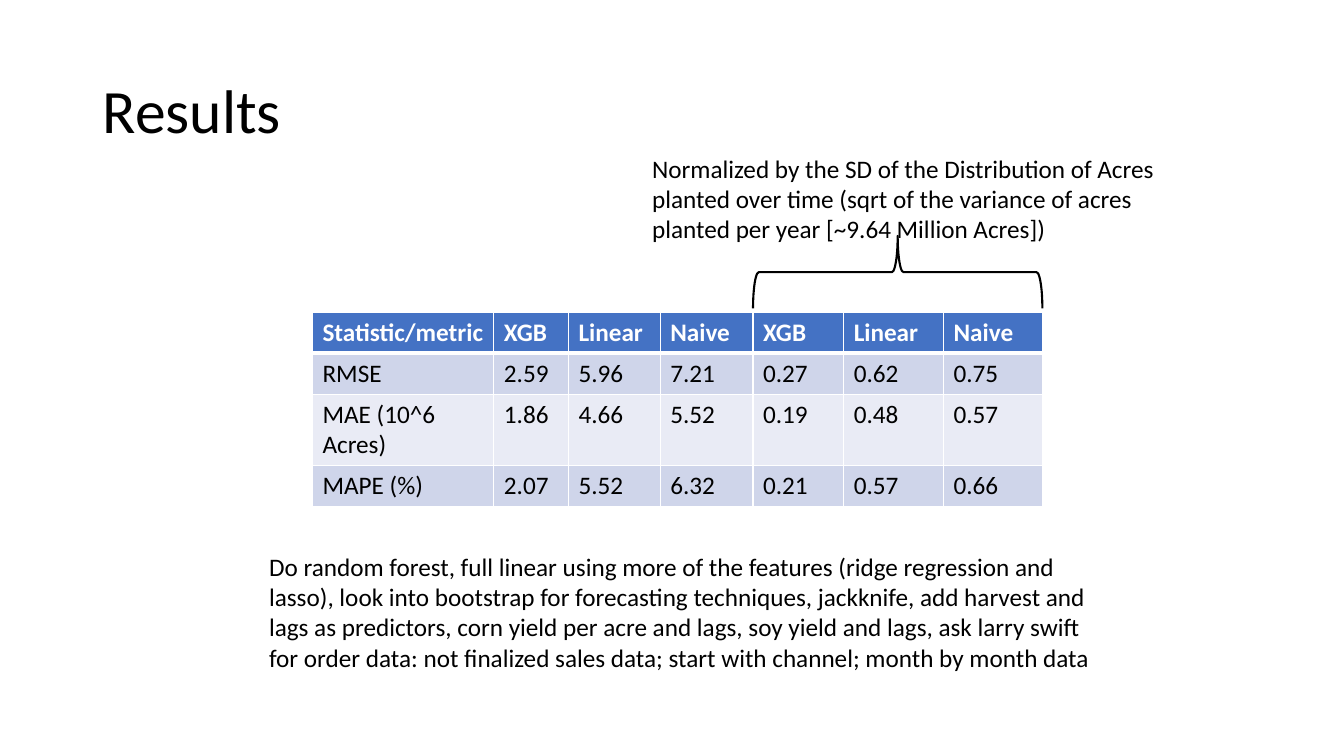
from dataclasses import dataclass

from lxml import etree
from pptx import Presentation
from pptx.dml.color import RGBColor
from pptx.enum.shapes import MSO_SHAPE
from pptx.enum.text import MSO_ANCHOR, MSO_AUTO_SIZE
from pptx.oxml.ns import qn
from pptx.util import Inches, Pt

RIGHT_BRACE = MSO_SHAPE.RIGHT_BRACE
TOP, MIDDLE = MSO_ANCHOR.TOP, MSO_ANCHOR.MIDDLE
FIT_SHAPE, NO_FIT = MSO_AUTO_SIZE.SHAPE_TO_FIT_TEXT, MSO_AUTO_SIZE.NONE

SLIDE_WIDTH, SLIDE_HEIGHT = Inches(13.33), Inches(7.5)
FONT = "Calibri"
BLACK, WHITE = "000000", "FFFFFF"
HEADER_FILL, BAND_FILLS = "4472C4", ("CFD5EA", "E9EBF5")

# Table geometry in percent of the slide's width (columns) and height (rows)
TABLE_LEFT, TABLE_TOP, TABLE_HEIGHT = 23.25, 41.33, 25.6
COLUMN_WIDTHS = (13.5, 5.55, 6.83, 6.9, 6.75, 7.43, 7.35)
ROW_HEIGHT = 5.41
NORMALIZED_COLUMNS = 3
BRACE_TOP, BRACE_DEPTH = 31.2, 9.6

RESULTS = (
    ("Statistic/metric", "XGB", "Linear", "Naive", "XGB", "Linear", "Naive"),
    ("RMSE", "2.59", "5.96", "7.21", "0.27", "0.62", "0.75"),
    ("MAE (10^6 Acres)", "1.86", "4.66", "5.52", "0.19", "0.48", "0.57"),
    ("MAPE (%)", "2.07", "5.52", "6.32", "0.21", "0.57", "0.66"),
)


@dataclass(frozen=True)
class TextBlock:
    """Text with its place in percent of the slide."""
    text: str
    left: float
    top: float
    width: float
    height: float
    size: int = 18
    anchor: MSO_ANCHOR = TOP
    fit: MSO_AUTO_SIZE = FIT_SHAPE
    line_spacing: float = 1.0


TEXT_BLOCKS = (
    TextBlock("Results", 6.9, 5.33, 86.25, 19.33, 44, MIDDLE, NO_FIT, 0.9),
    TextBlock(
        "Normalized by the SD of the Distribution of Acres planted over time "
        "(sqrt of the variance of acres planted per year [~9.64 Million Acres])",
        47.78, 19.6, 43.13, 13.47),
    TextBlock(
        "Do random forest, full linear using more of the features (ridge "
        "regression and lasso), look into bootstrap for forecasting techniques, "
        "jackknife, add harvest and lags as predictors, corn yield per acre and "
        "lags, soy yield and lags, ask larry swift for order data: not finalized "
        "sales data; start with channel; month by month data",
        19.28, 72.27, 63.68, 17.47),
)


def across(percent: float) -> int:
    return round(SLIDE_WIDTH * percent / 100)


def down(percent: float) -> int:
    return round(SLIDE_HEIGHT * percent / 100)


def color(hex_code: str) -> RGBColor:
    return RGBColor.from_string(hex_code)


def style_paragraph(paragraph, size: int, hex_code: str, bold: bool = False) -> None:
    font = paragraph.font
    font.name, font.size, font.bold = FONT, Pt(size), bold
    font.color.rgb = color(hex_code)


def add_text(slide, block: TextBlock) -> None:
    box = slide.shapes.add_textbox(across(block.left), down(block.top),
                                   across(block.width), down(block.height))
    frame = box.text_frame
    frame.word_wrap = True
    frame.auto_size = block.fit
    frame.vertical_anchor = block.anchor
    paragraph = frame.paragraphs[0]
    paragraph.text = block.text
    paragraph.line_spacing = block.line_spacing
    style_paragraph(paragraph, block.size, BLACK)


def add_borders(cell, top: int, bottom: int) -> None:
    """Draw white cell borders; call before the fill is set."""
    properties = cell._tc.get_or_add_tcPr()
    for side, points in (("L", 1), ("R", 1), ("T", top), ("B", bottom)):
        line = etree.SubElement(properties, qn(f"a:ln{side}"), w=str(Pt(points)))
        fill = etree.SubElement(line, qn("a:solidFill"))
        etree.SubElement(fill, qn("a:srgbClr"), val=WHITE)


def add_results_table(slide) -> None:
    graphic_frame = slide.shapes.add_table(
        len(RESULTS), len(COLUMN_WIDTHS), across(TABLE_LEFT), down(TABLE_TOP),
        across(sum(COLUMN_WIDTHS)), down(TABLE_HEIGHT))
    table = graphic_frame.table
    for column, width in zip(table.columns, COLUMN_WIDTHS):
        column.width = across(width)
    for row_index, (row, values) in enumerate(zip(table.rows, RESULTS)):
        row.height = down(ROW_HEIGHT)
        header = row_index == 0
        fill = HEADER_FILL if header else BAND_FILLS[(row_index - 1) % 2]
        for cell, value in zip(row.cells, values):
            add_borders(cell, 3 if row_index == 1 else 1, 3 if header else 1)
            cell.fill.solid()
            cell.fill.fore_color.rgb = color(fill)
            cell.text = value
            style_paragraph(cell.text_frame.paragraphs[0], 18,
                            WHITE if header else BLACK, header)
    graphic_frame.height = down(TABLE_HEIGHT)


def add_brace(slide) -> None:
    """Span the normalized columns with a brace turned to point upwards."""
    span = across(sum(COLUMN_WIDTHS[-NORMALIZED_COLUMNS:]))
    depth = down(BRACE_DEPTH)
    center_x = across(TABLE_LEFT + sum(COLUMN_WIDTHS)) - span // 2
    center_y = down(BRACE_TOP) + depth // 2
    brace = slide.shapes.add_shape(RIGHT_BRACE, center_x - depth // 2,
                                   center_y - span // 2, depth, span)
    brace.rotation = 270
    brace.adjustments[0], brace.adjustments[1] = 0.08, 0.5
    brace.shadow.inherit = False
    brace.fill.background()
    brace.line.color.rgb = color(BLACK)
    brace.line.width = Pt(1.5)


def main() -> None:
    presentation = Presentation()
    presentation.slide_width, presentation.slide_height = SLIDE_WIDTH, SLIDE_HEIGHT
    slide = presentation.slides.add_slide(presentation.slide_layouts[6])
    title, *notes = TEXT_BLOCKS
    add_text(slide, title)
    add_results_table(slide)
    add_brace(slide)
    for note in notes:
        add_text(slide, note)
    presentation.save("out.pptx")


if __name__ == "__main__":
    main()
